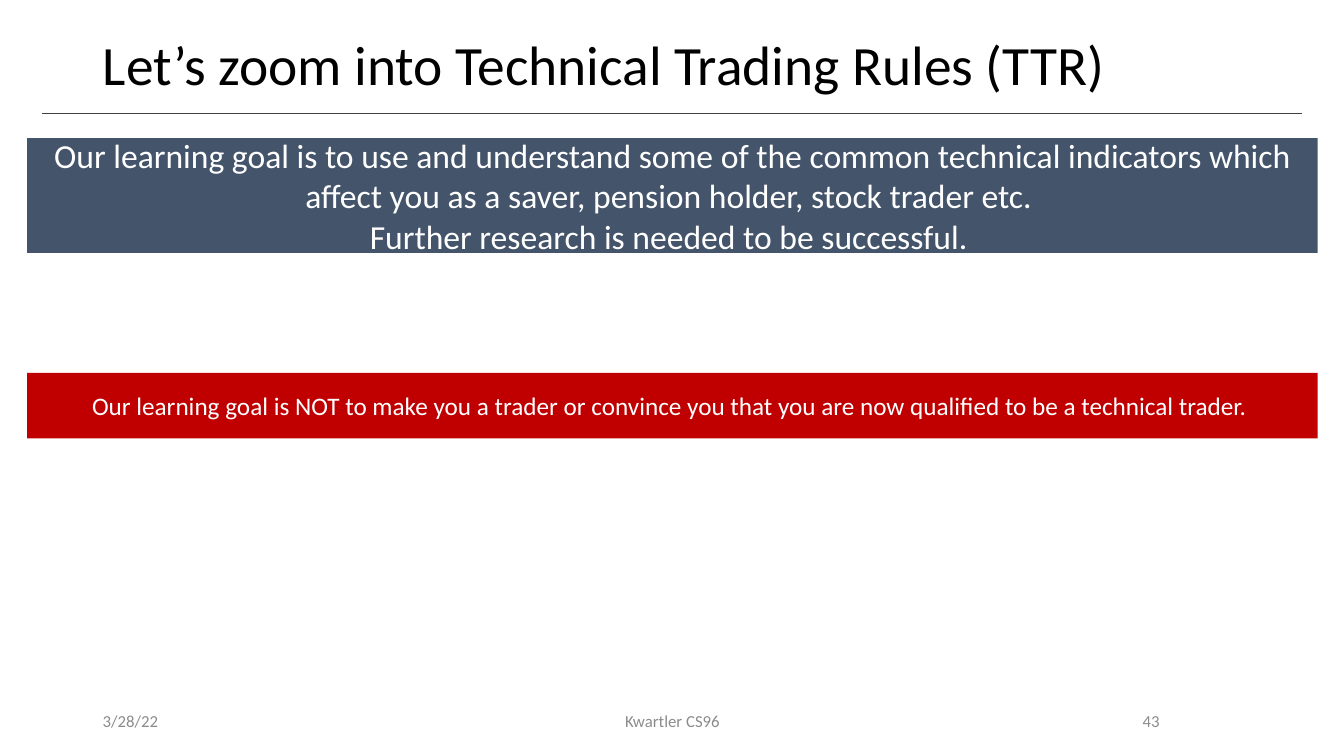
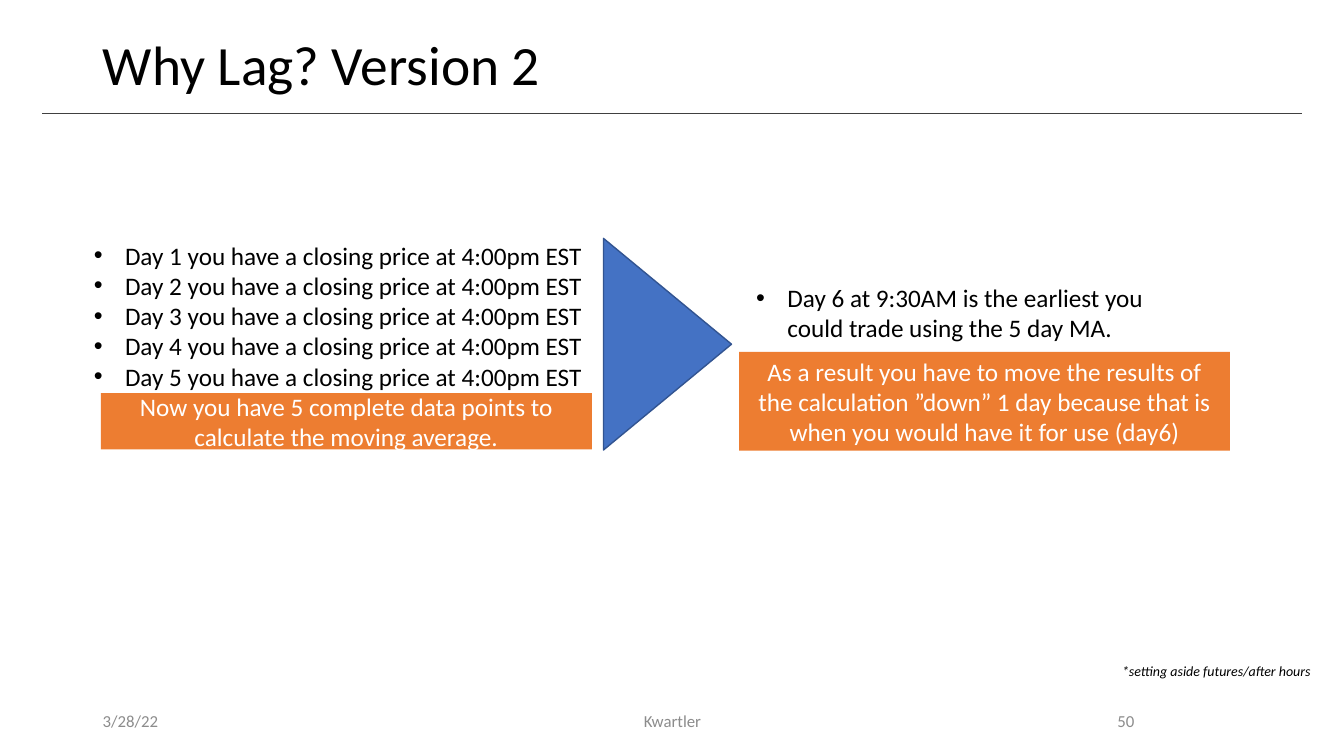
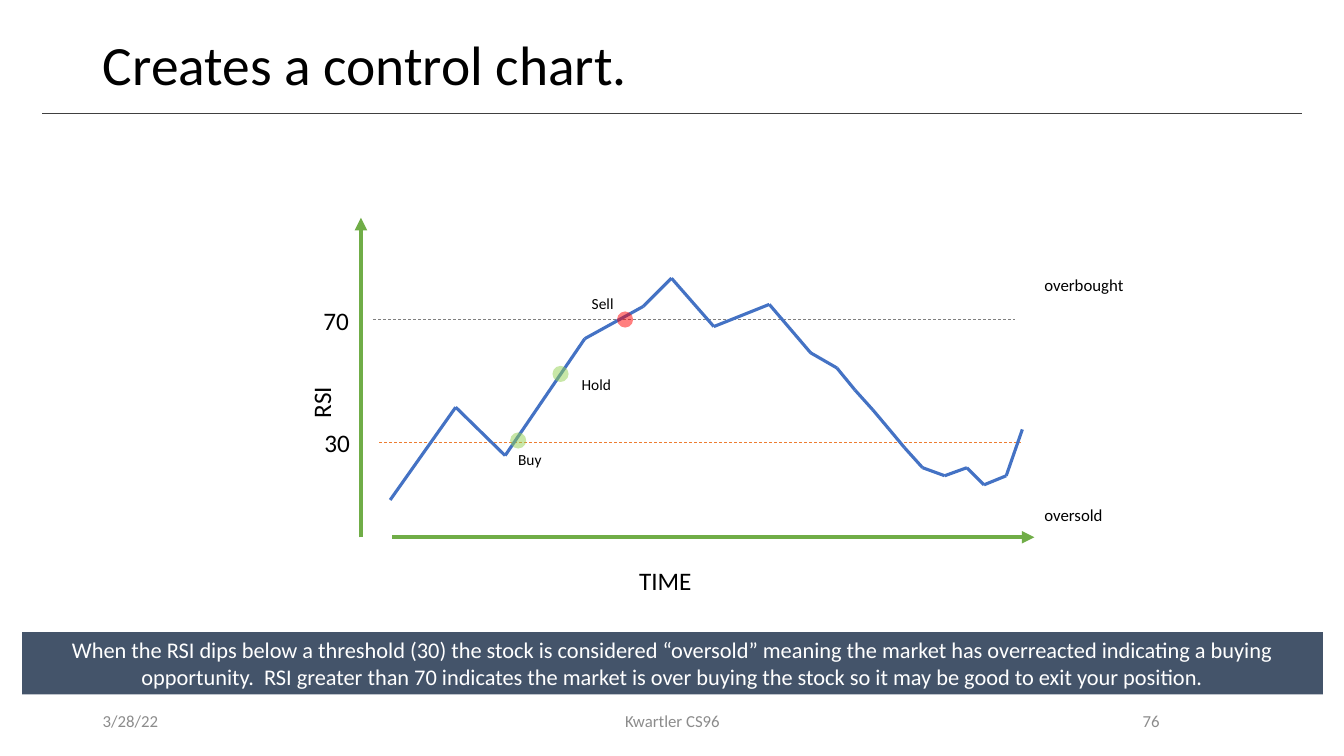
from dataclasses import dataclass
from itertools import pairwise
from typing import Any

from lxml import etree
from pptx import Presentation
from pptx import util as u
from pptx.dml import color
from pptx.enum import dml, shapes, text
from pptx.oxml import ns

CELL = 0.1
COLS, ROWS = 133.3, 75
FONT = "Calibri"
INK, WHITE, GREY, RULE = "000000", "FFFFFF", "8C8C8C", "404040"
SLATE, RED, ORANGE = "44546A", "C00000", "ED7D31"
BLUE, EDGE, GREEN = "4472C4", "325491", "70AD47"
LIME, ALERT, MIST = "92D050", "FF0000", "7F7F7F"
LEFT, MID, RIGHT = text.PP_ALIGN.LEFT, text.PP_ALIGN.CENTER, text.PP_ALIGN.RIGHT
TOP, CORE = text.MSO_ANCHOR.TOP, text.MSO_ANCHOR.MIDDLE
KIND = shapes.MSO_SHAPE


@dataclass(frozen=True)
class Box:
    x: float
    y: float
    w: float
    h: float

    def emu(self) -> tuple[int, ...]:
        return tuple(grid(n) for n in (self.x, self.y, self.w, self.h))


@dataclass(frozen=True)
class Bar:
    box: Box
    words: str
    fill: str
    size: float = 18


@dataclass(frozen=True)
class Note:
    box: Box
    words: str
    size: float = 18
    turn: float = 0
    slant: bool = False


@dataclass(frozen=True)
class Line:
    start: tuple[float, float]
    end: tuple[float, float]
    tint: str
    width: float
    dash: bool = False
    arrow: bool = False


@dataclass(frozen=True)
class Dot:
    x: float
    y: float
    tint: str


def grid(cells: float) -> int:
    return u.Inches(cells * CELL)


def hue(code: str) -> color.RGBColor:
    return color.RGBColor.from_string(code)


def put(shape: Any, words: str, *, size: float = 18, tint: str = INK,
        align: Any = LEFT, anchor: Any = TOP, wrap: bool = True,
        grow: bool = False, slant: bool = False, space: float = 1,
        indent: float = 0) -> None:
    frame = shape.text_frame
    frame.word_wrap = wrap
    frame.vertical_anchor = anchor
    fit = text.MSO_AUTO_SIZE
    frame.auto_size = fit.SHAPE_TO_FIT_TEXT if grow else fit.NONE
    for num, part in enumerate(words.split("\n")):
        para = frame.add_paragraph() if num else frame.paragraphs[0]
        para.alignment = align
        para.line_spacing = space
        para.space_before = u.Pt(0)
        if indent:
            props = para._p.get_or_add_pPr()
            props.set("marL", str(grid(indent)))
            props.set("indent", str(-grid(indent)))
        run = para.add_run()
        run.text = part
        font = run.font
        font.name, font.size = FONT, u.Pt(size)
        font.color.rgb = hue(tint)
        if slant:
            font.italic = True


def place(shape: Any, box: Box) -> None:
    shape.left, shape.top, shape.width, shape.height = box.emu()


def label(slide: Any, note: Note, **form: Any) -> None:
    shape = slide.shapes.add_textbox(*note.box.emu())
    shape.rotation = note.turn
    put(shape, note.words, size=note.size, slant=note.slant, **form)


def solid(slide: Any, kind: Any, box: Box, fill: str, edge: str = "") -> Any:
    shape = slide.shapes.add_shape(kind, *box.emu())
    shape.shadow.inherit = False
    shape.fill.solid()
    shape.fill.fore_color.rgb = hue(fill)
    if edge:
        shape.line.color.rgb = hue(edge)
        shape.line.width = u.Pt(1)
    else:
        shape.line.fill.background()
    return shape


def band(slide: Any, bar: Bar) -> None:
    shape = solid(slide, KIND.RECTANGLE, bar.box, bar.fill)
    put(shape, bar.words, size=bar.size, tint=WHITE, align=MID, anchor=CORE)


def stroke(slide: Any, line: Line) -> Any:
    ends = (grid(n) for n in line.start + line.end)
    shape = slide.shapes.add_connector(shapes.MSO_CONNECTOR.STRAIGHT, *ends)
    shape.line.color.rgb = hue(line.tint)
    shape.line.width = u.Pt(line.width)
    if line.dash:
        shape.line.dash_style = dml.MSO_LINE.DASH
    if line.arrow:
        tail = etree.SubElement(shape.line._get_or_add_ln(), ns.qn("a:tailEnd"))
        tail.set("type", "triangle")
    etree.SubElement(shape.element.spPr, ns.qn("a:effectLst"))
    return shape


def mark(slide: Any, dot: Dot) -> None:
    shape = solid(slide, KIND.OVAL, Box(dot.x, dot.y, 1.6, 1.6), dot.tint)
    fill = shape.element.spPr.find(ns.qn("a:solidFill"))
    alpha = etree.SubElement(fill[0], ns.qn("a:alpha"))
    alpha.set("val", "50000")


def start(deck: Any, plan: int, title: str, page: str,
          foot: str = "Kwartler CS96", edge: float = 94.2) -> Any:
    slide = deck.slides.add_slide(deck.slide_layouts[plan])
    head = slide.shapes.title
    place(head, Box(9.2, 4, 115, 5.4))
    put(head, title, size=39.6, anchor=CORE, space=0.9)
    for x, w, words, align in (
        (9.2, 30, "3/28/22", LEFT),
        (44.2, 45, foot, MID),
        (edge, 21.8, page, RIGHT),
    ):
        label(slide, Note(Box(x, 69.5, w, 4), words, 12),
              tint=GREY, align=align, anchor=CORE)
    return slide


def rule(deck: Any, slide: Any) -> None:
    line = stroke(slide, Line((4.2, 11.2), (129.1, 11.2), RULE, 0.5)).element
    line.nvCxnSpPr.cNvPr.set("id", "99")
    deck.slide_master.shapes.element.append(line)


def goals(deck: Any) -> None:
    slide = start(deck, 5, "Let’s zoom into Technical Trading Rules (TTR)", "43")
    rule(deck, slide)
    for bar in (
        Bar(Box(2.7, 13.7, 128, 11.4),
            "Our learning goal is to use and understand some of the common "
            "technical indicators which affect you as a saver, pension holder, "
            "stock trader etc. \nFurther research is needed to be successful. ",
            SLATE, 24),
        Bar(Box(2.7, 37, 128, 6.5),
            "Our learning goal is NOT to make you a trader or convince you that "
            "you are now qualified to be a technical trader. ", RED),
    ):
        band(slide, bar)


def lag(deck: Any) -> None:
    slide = start(deck, 3, "Why Lag? Version 2", "50", "Kwartler", 91.7)
    days = "\n".join(
        f"Day {day} you have a closing price at 4:00pm EST" for day in range(1, 6))
    trade = "Day 6 at 9:30AM is the earliest you could trade using the 5 day MA."
    for slot, box, words in (
        (1, Box(8.3, 23.3, 52, 16.2), days),
        (2, Box(74, 27.5, 40.7, 7.1), trade),
    ):
        body = slide.placeholders[slot]
        place(body, box)
        put(body, words, indent=3.1)
    wedge = solid(slide, KIND.ISOSCELES_TRIANGLE, Box(55.7, 27.8, 21, 12.7),
                  BLUE, EDGE)
    wedge.rotation = 90
    for bar in (
        Bar(Box(10, 39, 48.7, 5.6),
            "Now you have 5 complete data points to calculate the moving average.",
            ORANGE),
        Bar(Box(73.3, 34.9, 48.7, 9.8),
            "As a result you have to move the results of the calculation ”down” "
            "1 day because that is when you would have it for use (day6)", ORANGE),
    ):
        band(slide, bar)
    label(slide, Note(Box(110.3, 65.2, 21.2, 2.7),
                      "*setting aside futures/after hours", 10, slant=True),
          wrap=False, grow=True)


def control(deck: Any) -> None:
    slide = start(deck, 5, "Creates a control chart.", "76")
    trend = (
        (38.7, 49.6), (45.2, 40.4), (50.1, 45.2), (58, 33.6), (63.8, 30.4),
        (66.6, 27.6), (70.8, 32.4), (76.3, 30.2), (80.4, 35), (83, 36.5),
        (84.8, 38.7), (86.6, 40.7), (88.2, 42.6), (89.7, 44.4), (91.5, 46.4),
        (93.7, 47.2), (95.9, 46.4), (97.6, 48.1), (99.8, 47.2), (101.4, 42.6),
    )
    for line in (
        Line((38.9, 53.3), (102.6, 53.3), GREEN, 3, arrow=True),
        Line((35.8, 53.3), (35.8, 21.6), GREEN, 3, arrow=True),
        Line((37, 31.7), (100.7, 31.7), MIST, 0.5, dash=True),
        Line((37.6, 43.9), (101.3, 43.9), ORANGE, 0.5, dash=True),
        *(Line(a, b, BLUE, 2.25) for a, b in pairwise(trend)),
    ):
        stroke(slide, line)
    for dot in (
        Dot(50.6, 42.9, LIME), Dot(54.8, 36.3, LIME), Dot(61.2, 30.9, ALERT),
    ):
        mark(slide, dot)
    for note in (
        Note(Box(62.4, 55.6, 7.3, 4), "TIME"),
        Note(Box(29, 37.6, 5.7, 4), "RSI", turn=270),
        Note(Box(31.1, 29.8, 4.6, 4), "70"),
        Note(Box(31.2, 41.9, 4.6, 4), "30"),
        Note(Box(102.6, 49.6, 7.9, 3), "oversold", 12),
        Note(Box(102.6, 26.8, 9.9, 3), "overbought", 12),
        Note(Box(50.4, 44.2, 4.4, 2.9), "Buy", 11),
        Note(Box(56.7, 36.7, 4.9, 2.9), "Hold", 11),
        Note(Box(57.7, 28.7, 4.2, 2.9), "Sell", 11),
    ):
        label(slide, note, wrap=False, grow=True)
    band(slide, Bar(
        Box(2.2, 62.7, 129, 6.2),
        "When the RSI dips below a threshold (30) the stock is considered "
        "“oversold” meaning the market has overreacted indicating a buying "
        "opportunity.  RSI greater than 70 indicates the market is over buying "
        "the stock so it may be good to exit your position.", SLATE, 16))


def main() -> None:
    deck = Presentation()
    deck.slide_width, deck.slide_height = grid(COLS), grid(ROWS)
    for build in (goals, lag, control):
        build(deck)
    deck.save("out.pptx")


if __name__ == "__main__":
    main()
